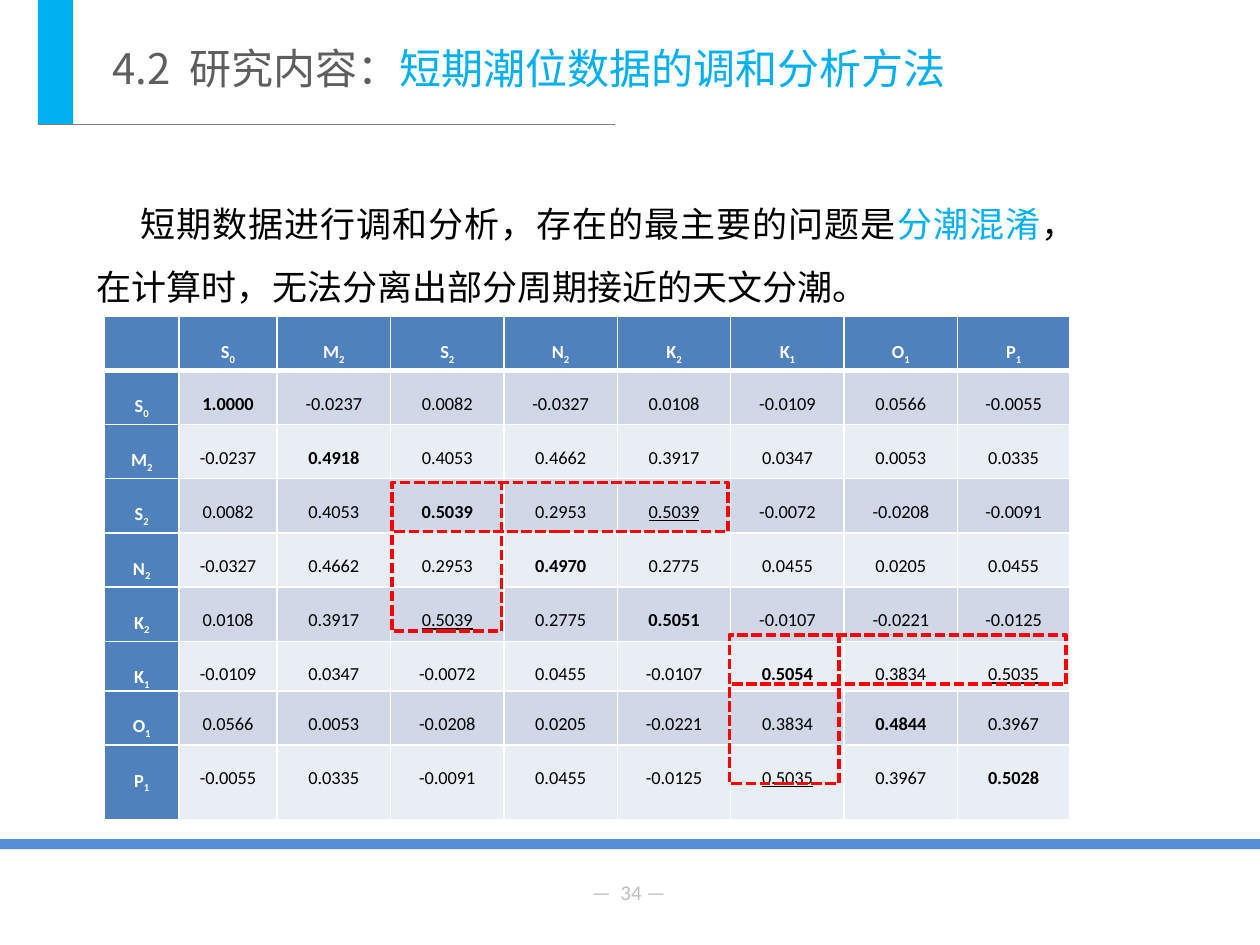
"""Build the slide on harmonic analysis of short-term tide data."""
from itertools import product

from lxml import etree
from pptx import Presentation, util as u
from pptx.dml.color import RGBColor
from pptx.enum import dml, shapes, text
from pptx.oxml import parse_xml
from pptx.oxml.ns import nsdecls, qn

THEME = {
    "accent": "00B0F0", "title": "5F5E5C", "ink": "000000", "white": "FFFFFF",
    "head": "4F81BD", "bands": ("D0D8E8", "E9EDF4"), "mark": "FF0000",
    "rule": "7F7F7F", "footer": "558ED5", "page": "BFBFBF",
    "cjk": "Noto Sans CJK SC", "latin": "Calibri",
    "title_size": 24, "body_size": 20, "page_size": 12, "cell_size": 10.5,
}

TITLE = [("4.2  研究内容：", "title"), ("短期潮位数据的调和分析方法", "accent")]
BODY = [
    ("短期数据进行调和分析，存在的最主要的问题是", "ink"),
    ("分潮混淆", "accent"),
    ("，在计算时，无法分离出部分周期接近的天文分潮。", "ink"),
]
PAGE_LABEL = [("—  34 —", "page")]

TIDES = ["S0", "M2", "S2", "N2", "K2", "K1", "O1", "P1"]
LOWER_TRIANGLE = [
    ["1.0000"],
    ["-0.0237", "0.4918"],
    ["0.0082", "0.4053", "0.5039"],
    ["-0.0327", "0.4662", "0.2953", "0.4970"],
    ["0.0108", "0.3917", "0.5039", "0.2775", "0.5051"],
    ["-0.0109", "0.0347", "-0.0072", "0.0455", "-0.0107", "0.5054"],
    ["0.0566", "0.0053", "-0.0208", "0.0205", "-0.0221", "0.3834", "0.4844"],
    ["-0.0055", "0.0335", "-0.0091", "0.0455", "-0.0125", "0.5035", "0.3967", "0.5028"],
]
CONFUSED_PAIRS = [{"S2", "K2"}, {"K1", "P1"}]

TABLE_AT = (0.83, 2.51)
COLUMN_WIDTHS = [0.59, 0.78] + [0.9] * 6 + [0.89]
ROW_HEIGHTS = [0.43] * 6 + [0.36, 0.43, 0.59]
MARK_CORNERS = [(3.11, 3.83), (5.79, 5.04)]
MARK_SIZES = [(0.87, 1.18), (2.67, 0.39)]


def color(name):
    return RGBColor.from_string(THEME.get(name, name))


def assign(target, values):
    for name, value in values.items():
        setattr(target, name, value)


def inches(*lengths):
    return [u.Inches(length) for length in lengths]


def add_span(para, words, tint, size, font, **style):
    span = para.add_run()
    span.text = words
    assign(span.font, {"size": u.Pt(size), "name": font, **style})
    span.font.color.rgb = color(tint)
    etree.SubElement(span.font._element, qn("a:ea"), typeface=font)
    return span


def fill_box(box, spans, size, font, wrap=True, **layout):
    frame = box.text_frame
    assign(frame, {"word_wrap": wrap, "auto_size": text.MSO_AUTO_SIZE.NONE,
                   "vertical_anchor": text.MSO_ANCHOR.TOP})
    para = frame.paragraphs[0]
    assign(para, layout)
    for words, tint in spans:
        add_span(para, words, tint, size, font)
    return para


def add_rect(slide, at, fill=None, line=None):
    rect = slide.shapes.add_shape(shapes.MSO_SHAPE.RECTANGLE, *inches(*at))
    rect.shadow.inherit = False
    if fill:
        rect.fill.solid()
        rect.fill.fore_color.rgb = color(fill)
    else:
        rect.fill.background()
    if line:
        rect.line.color.rgb = color(line)
        assign(rect.line, {"width": u.Pt(2), "dash_style": dml.MSO_LINE.SQUARE_DOT})
    else:
        rect.line.fill.background()


def add_frame(slide):
    add_rect(slide, (0.3, 0, 0.28, 0.99), "accent")
    rule = slide.shapes.add_connector(
        shapes.MSO_CONNECTOR.STRAIGHT, *inches(0.3, 0.99, 4.88, 0.99))
    rule.line.color.rgb = color("rule")
    rule.line.width = u.Pt(0.75)
    etree.SubElement(rule._element.spPr, qn("a:effectLst"))
    add_rect(slide, (0, 6.66, 10, 0.08), "footer")
    label = slide.shapes.add_textbox(*inches(4.6, 6.93, 0.86, 0.3))
    fill_box(label, PAGE_LABEL, THEME["page_size"], THEME["latin"], wrap=False)


def format_cell(cell, fill, bottom):
    assign(cell, dict(zip(("margin_left", "margin_top", "margin_right", "margin_bottom"),
                          inches(0.07, 0, 0.07, 0))))
    properties = cell._tc.get_or_add_tcPr()
    for side, width in (("L", 1), ("R", 1), ("T", 1), ("B", bottom)):
        properties.append(parse_xml(
            f'<a:ln{side} {nsdecls("a")} w="{u.Pt(width)}"><a:solidFill>'
            f'<a:srgbClr val="{THEME["white"]}"/></a:solidFill></a:ln{side}>'))
    cell.fill.solid()
    cell.fill.fore_color.rgb = color(fill)


def fill_cell(cell, row, column):
    para = cell.text_frame.paragraphs[0]
    assign(para, {"alignment": text.PP_ALIGN.CENTER, "line_spacing": 2.0,
                  "space_before": u.Pt(6), "space_after": u.Pt(3.9)})
    look = {"size": THEME["cell_size"], "font": THEME["latin"]}
    if row and column:
        value = LOWER_TRIANGLE[max(row, column) - 1][min(row, column) - 1]
        pair = {TIDES[row - 1], TIDES[column - 1]}
        add_span(para, value, "ink", bold=row == column,
                 underline=pair in CONFUSED_PAIRS, **look)
    elif row or column:
        letter, index = TIDES[max(row, column) - 1]
        add_span(para, letter, "white", bold=True, **look)
        subscript = add_span(para, index, "white", bold=True, **look)
        subscript.font._element.set("baseline", "-25000")


def add_matrix(slide):
    rows, columns = len(ROW_HEIGHTS), len(COLUMN_WIDTHS)
    table = slide.shapes.add_table(
        rows, columns, *inches(*TABLE_AT, sum(COLUMN_WIDTHS), sum(ROW_HEIGHTS))).table
    for column, width in zip(table.columns, COLUMN_WIDTHS):
        column.width = u.Inches(width)
    for row, height in zip(table.rows, ROW_HEIGHTS):
        row.height = u.Inches(height)
    for row, column in product(range(rows), range(columns)):
        cell = table.cell(row, column)
        fill = THEME["bands"][(row - 1) % 2] if row and column else "head"
        format_cell(cell, fill, bottom=1 if row else 3)
        fill_cell(cell, row, column)


def main():
    deck = Presentation()
    assign(deck, {"slide_width": u.Inches(10), "slide_height": u.Inches(7.5)})
    slide = deck.slides.add_slide(deck.slide_layouts[5])
    add_frame(slide)

    title = slide.shapes.title
    assign(title, dict(zip(("left", "top", "width", "height"),
                           inches(0.79, 0.29, 6.96, 0.5))))
    fill_box(title, TITLE, THEME["title_size"], THEME["cjk"],
             alignment=text.PP_ALIGN.LEFT)

    body = slide.shapes.add_textbox(*inches(0.67, 1.39, 7.97, 1.11))
    para = fill_box(body, BODY, THEME["body_size"], THEME["cjk"],
                    alignment=text.PP_ALIGN.JUSTIFY, line_spacing=1.5)
    para._p.get_or_add_pPr().set("indent", str(u.Inches(0.35)))

    add_matrix(slide)
    for size, corner in product(MARK_SIZES, MARK_CORNERS):
        add_rect(slide, corner + size, line="mark")
    deck.save("out.pptx")


if __name__ == "__main__":
    main()
